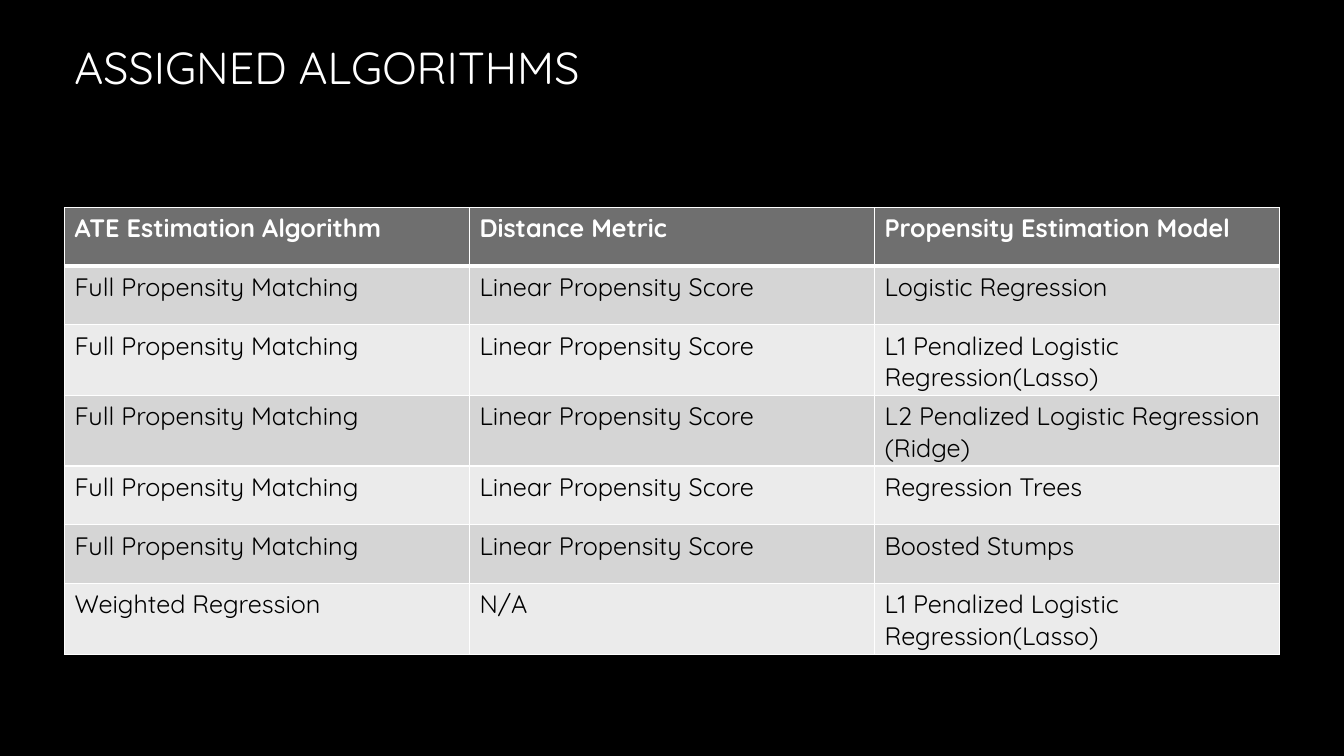
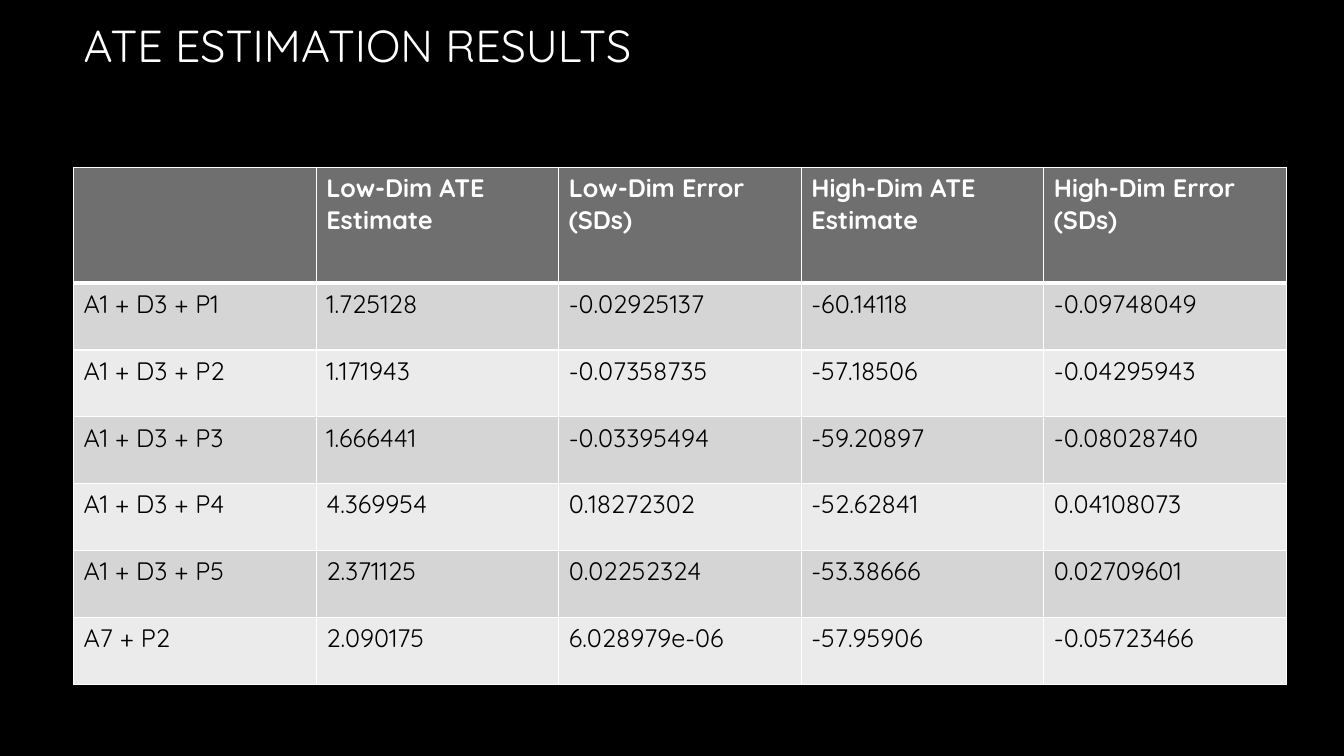
from lxml.etree import SubElement
from pptx import Presentation
from pptx.dml.color import RGBColor
from pptx.enum.text import MSO_ANCHOR as Anchor
from pptx.oxml.ns import qn
from pptx.util import Inches, Pt

WIDE, HIGH = 13.33, 7.5
FONT = "Quicksand"
COLORS = {
    "back": "000000",
    "title": "FFFFFF",
    "line": "FFFFFF",
    "head": "6F6F6F",
    "headtext": "FFFFFF",
    "odd": "D5D5D5",
    "even": "EBEBEB",
    "text": "000000",
}

MATCH = ("Full Propensity Matching", "Linear Propensity Score")
LASSO = "L1 Penalized Logistic Regression(Lasso)"
METHODS = [
    ("ATE Estimation Algorithm", "Distance Metric", "Propensity Estimation Model"),
    (*MATCH, "Logistic Regression"),
    (*MATCH, LASSO),
    (*MATCH, "L2 Penalized Logistic Regression (Ridge)"),
    (*MATCH, "Regression Trees"),
    (*MATCH, "Boosted Stumps"),
    ("Weighted Regression", "N/A", LASSO),
]
RESULTS = [
    ("", "Low-Dim ATE Estimate", "Low-Dim Error (SDs)",
     "High-Dim ATE Estimate", "High-Dim Error (SDs)"),
    ("A1 + D3 + P1", "1.725128", "-0.02925137", "-60.14118", "-0.09748049"),
    ("A1 + D3 + P2", "1.171943", "-0.07358735", "-57.18506", "-0.04295943"),
    ("A1 + D3 + P3", "1.666441", "-0.03395494", "-59.20897", "-0.08028740"),
    ("A1 + D3 + P4", "4.369954", "0.18272302", "-52.62841", "0.04108073"),
    ("A1 + D3 + P5", "2.371125", "0.02252324", "-53.38666", "0.02709601"),
    ("A7 + P2", "2.090175", "6.028979e-06", "-57.95906", "-0.05723466"),
]


def color(name):
    return RGBColor.from_string(COLORS[name])


def style(font, size, tint, bold=False):
    font.name, font.size, font.bold = FONT, Pt(size), bold
    font.color.rgb = color(tint)


def add_title(slide, text, box):
    frame = slide.shapes.add_textbox(*map(Inches, box)).text_frame
    frame.word_wrap = True
    frame.vertical_anchor = Anchor.MIDDLE
    frame.text = text
    style(frame.paragraphs[0].runs[0].font, 32, "title")


def edge(cell, top, bottom):
    """Draw the four cell borders; the side ones are 1 pt wide."""
    props = cell._tc.get_or_add_tcPr()
    sides = (("a:lnL", 1), ("a:lnR", 1), ("a:lnT", top), ("a:lnB", bottom))
    for spot, (tag, width) in enumerate(sides):
        line = props.makeelement(qn(tag), {"w": str(Pt(width))})
        fill = SubElement(line, qn("a:solidFill"))
        SubElement(fill, qn("a:srgbClr"), val=COLORS["line"])
        props.insert(spot, line)


def add_grid(slide, data, box, head):
    """Place a table of equal columns; body rows share the height below head."""
    rows, cols = len(data), len(data[0])
    left, top, width, height = box
    table = slide.shapes.add_table(rows, cols, *map(Inches, box)).table
    for col in table.columns:
        col.width = Inches(width / cols)
    for r, values in enumerate(data):
        table.rows[r].height = Inches((height - head) / (rows - 1) if r else head)
        shade = ("odd" if r % 2 else "even") if r else "head"
        for c, value in enumerate(values):
            cell = table.cell(r, c)
            cell.fill.solid()
            cell.fill.fore_color.rgb = color(shade)
            edge(cell, 3 if r == 1 else 1, 1 if r else 3)
            cell.text = value
            para = cell.text_frame.paragraphs[0]
            for item in para.runs or [para]:
                style(item.font, 18, "text" if r else "headtext", not r)


def add_page(deck, title, data, left, band, top, width, height, head):
    """Add a slide with a title band above a table, both flush left."""
    slide = deck.slides.add_slide(deck.slide_layouts[6])
    slide.background.fill.solid()
    slide.background.fill.fore_color.rgb = color("back")
    add_title(slide, title, (left, 0, WIDE * 0.81, band))
    add_grid(slide, data, (left, top, width, height), head)


def main():
    deck = Presentation()
    deck.slide_width, deck.slide_height = Inches(WIDE), Inches(HIGH)
    add_page(deck, "ASSIGNED ALGORITHMS", METHODS,
             left=0.64, band=1.33, top=2.06, width=12.05, height=4.08, head=0.58)
    add_page(deck, "ATE ESTIMATION RESULTS", RESULTS,
             left=0.73, band=0.89, top=1.66, width=12.03, height=5.13, head=1.15)
    deck.save("out.pptx")


if __name__ == "__main__":
    main()
